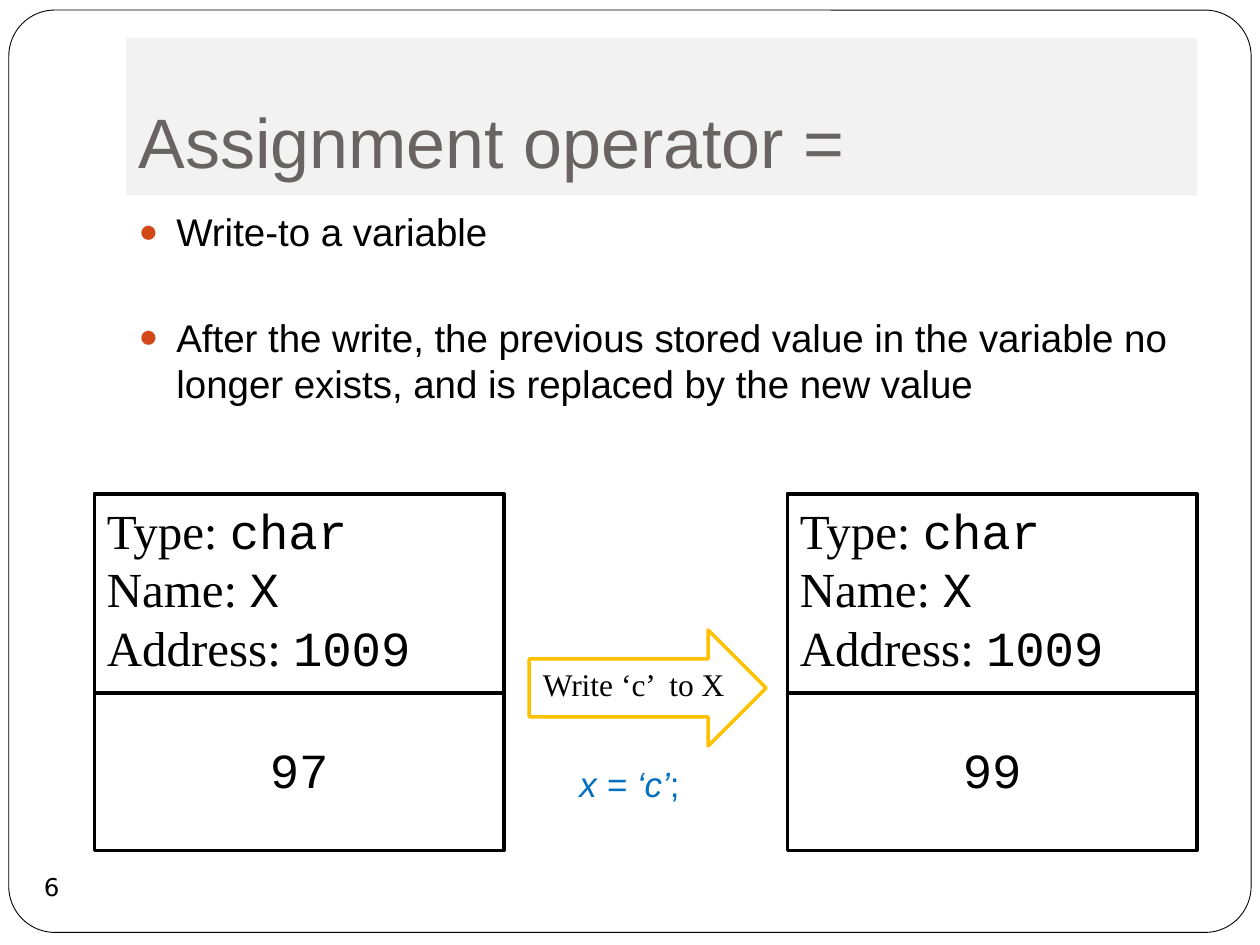
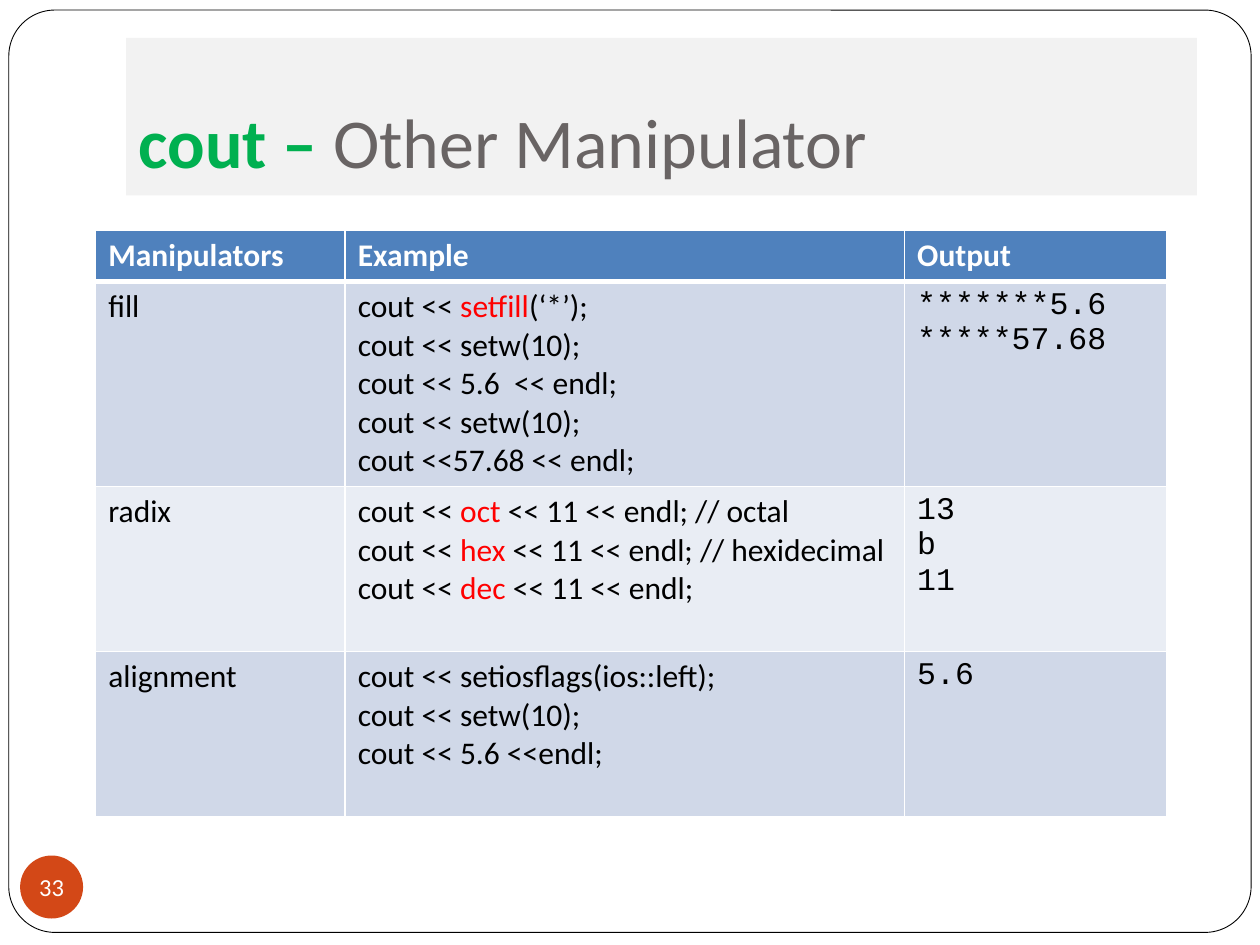
"""Build two C++ lecture slides: the assignment operator and cout manipulators."""
import dataclasses
import typing

import lxml.etree
import pptx
import pptx.dml.color
import pptx.enum.shapes
import pptx.enum.text
import pptx.oxml.ns
import pptx.util

Inches = pptx.util.Inches
Pt = pptx.util.Pt
Shapes = pptx.enum.shapes.MSO_SHAPE
Align = pptx.enum.text.PP_ALIGN
Anchor = pptx.enum.text.MSO_ANCHOR

BLACK, WHITE, GRAY, BAND = "000000", "FFFFFF", "696464", "F2F2F2"
ORANGE, GREEN, BLUE, RED, GOLD = "D34817", "00B050", "0070C0", "FF0000", "FFC000"
HEADER_FILL, ROW_FILLS = "4F81BD", ("D0D8E8", "E9EDF4")
SANS, BODY, MONO, SERIF = "Arial", "Calibri", "Courier New", "Times New Roman"


@dataclasses.dataclass(frozen=True)
class Run:
    text: str
    font: str = BODY
    size: float = 18
    color: str = BLACK
    bold: bool = False
    italic: bool = False


@dataclasses.dataclass(frozen=True)
class Box:
    left: float
    top: float
    width: float
    height: float

    def lengths(self) -> dict[str, int]:
        return {name: Inches(value) for name, value in dataclasses.asdict(self).items()}


@dataclasses.dataclass(frozen=True)
class Variable:
    left: float
    value: str


Line = tuple[Run, ...]

TITLE_BOX = Box(1, 0.3, 8.5, 1.25)
BODY_BOX = Box(1, 1.6, 8.5, 4.75)
BADGE_BOX = Box(0.16, 6.79, 0.5, 0.5)
VARIABLE_TOP, VARIABLE_WIDTH, VARIABLE_HEIGHT, LABEL_HEIGHT = 3.92, 3.25, 2.83, 1.58
VARIABLES = (Variable(0.75, "97"), Variable(6.25, "99"))
LABELS = (("Type: ", "char"), ("Name: ", "X"), ("Address: ", "1009"))
BULLETS = (
    ("Write-to a variable", 5.8),
    ("After the write, the previous stored value in the variable no longer exists, "
     "and is replaced by the new value", 34),
)
COLUMN_WIDTHS = (1.98, 4.44, 2.08)
ROW_HEIGHTS = (0.4, 1.6, 1.31, 1.31)


def set_values(target: typing.Any, values: dict[str, typing.Any]) -> None:
    for name, value in values.items():
        setattr(target, name, value)


def rgb(color: str) -> pptx.dml.color.RGBColor:
    return pptx.dml.color.RGBColor.from_string(color)


def paint(fill: typing.Any, color: str) -> None:
    if color:
        fill.solid()
        fill.fore_color.rgb = rgb(color)
    else:
        fill.background()


def write_lines(frame: typing.Any, lines: typing.Sequence[Line],
                alignment: typing.Any = Align.LEFT) -> None:
    for index, line in enumerate(lines):
        paragraph = frame.add_paragraph() if index else frame.paragraphs[0]
        paragraph.alignment = alignment
        for item in line:
            run = paragraph.add_run()
            run.text = item.text
            set_values(run.font, {"name": item.font, "size": Pt(item.size),
                                  "bold": item.bold, "italic": item.italic})
            run.font.color.rgb = rgb(item.color)


def add_box(slide: typing.Any, kind: typing.Any, box: Box, fill: str = WHITE,
            line: str = "", weight: float = 2) -> typing.Any:
    shape = slide.shapes.add_shape(kind, **box.lengths())
    shape.shadow.inherit = False
    paint(shape.fill, fill)
    paint(shape.line.fill, line)
    if line:
        shape.line.width = Pt(weight)
    return shape


def add_text(slide: typing.Any, box: Box, line: Line, wrap: bool = True) -> None:
    frame = slide.shapes.add_textbox(**box.lengths()).text_frame
    frame.word_wrap = wrap
    write_lines(frame, [line])


def add_slide(presentation: typing.Any, layout: int, title: Line) -> typing.Any:
    slide = presentation.slides.add_slide(presentation.slide_layouts[layout])
    border = add_box(slide, Shapes.ROUNDED_RECTANGLE, Box(0.07, 0.08, 9.86, 7.32),
                     line=BLACK, weight=0.5)
    border.adjustments[0] = 0.05
    slide.shapes.element.insert(2, border.element)
    shape = slide.shapes.title
    set_values(shape, TITLE_BOX.lengths())
    paint(shape.fill, BAND)
    set_values(shape.text_frame, {
        "vertical_anchor": Anchor.BOTTOM, "word_wrap": True,
        "auto_size": pptx.enum.text.MSO_AUTO_SIZE.NONE,
        "margin_left": Inches(0.1), "margin_right": Inches(0.1),
        "margin_top": Inches(0.05), "margin_bottom": Inches(0.1)})
    write_lines(shape.text_frame, [title])
    return slide


def add_badge(slide: typing.Any, number: Run, fill: str = "") -> None:
    frame = add_box(slide, Shapes.OVAL, BADGE_BOX, fill).text_frame
    set_values(frame, {"vertical_anchor": Anchor.MIDDLE, "word_wrap": False,
                       "margin_left": 0, "margin_right": 0,
                       "margin_top": 0, "margin_bottom": 0})
    write_lines(frame, [(number,)], Align.CENTER)


def add_element(parent: typing.Any, tag: str, **attributes: str) -> typing.Any:
    return lxml.etree.SubElement(parent, pptx.oxml.ns.qn(tag), attributes)


def fill_bullets(shape: typing.Any) -> None:
    set_values(shape, BODY_BOX.lengths())
    frame = shape.text_frame
    frame.auto_size = pptx.enum.text.MSO_AUTO_SIZE.NONE
    write_lines(frame, [(Run(text, SANS, 22),) for text, _ in BULLETS])
    for paragraph, (_, space) in zip(frame.paragraphs, BULLETS):
        paragraph.space_before = Pt(space)
        properties = paragraph._p.get_or_add_pPr()
        properties.set("marL", str(Inches(0.3)))
        properties.set("indent", str(Inches(-0.3)))
        add_element(add_element(properties, "a:buClr"), "a:srgbClr", val=ORANGE)
        add_element(properties, "a:buSzPct", val="85000")
        add_element(properties, "a:buFont", typeface=SANS)
        add_element(properties, "a:buChar", char="●")


def add_variable(slide: typing.Any, variable: Variable) -> None:
    whole = add_box(slide, Shapes.RECTANGLE,
                    Box(variable.left, VARIABLE_TOP, VARIABLE_WIDTH, VARIABLE_HEIGHT),
                    line=BLACK)
    set_values(whole.text_frame, {"margin_top": Inches(LABEL_HEIGHT),
                                  "vertical_anchor": Anchor.MIDDLE})
    write_lines(whole.text_frame, [(Run(variable.value, MONO, 28),)], Align.CENTER)
    label = add_box(slide, Shapes.RECTANGLE,
                    Box(variable.left, VARIABLE_TOP, VARIABLE_WIDTH, LABEL_HEIGHT),
                    line=BLACK)
    label.text_frame.vertical_anchor = Anchor.TOP
    write_lines(label.text_frame,
                [(Run(name, SERIF, 28), Run(value, MONO, 28)) for name, value in LABELS])


def code(before: str, keyword: str = "", after: str = "") -> Line:
    parts = (Run(before), Run(keyword, color=RED), Run(after))
    return tuple(part for part in parts if part.text)


def output(*lines: str) -> list[Line]:
    return [(Run(line, MONO),) for line in lines]


def manipulator_rows() -> list[list[list[Line]]]:
    headings = ("Manipulators", "Example", "Output")
    return [
        [[(Run(heading, color=WHITE, bold=True),)] for heading in headings],
        [[code("fill")],
         [code("cout << ", "setfill", "(‘*’);"), code("cout << setw(10);"),
          code("cout << 5.6  << endl;"), code("cout << setw(10);"),
          code("cout <<57.68 << endl;")],
         output("*******5.6", "*****57.68")],
        [[code("radix")],
         [code("cout << ", "oct ", "<< 11 << endl; // octal"),
          code("cout << ", "hex", " << 11 << endl; // hexidecimal"),
          code("cout << ", "dec ", "<< 11 << endl;")],
         output("13", "b", "11")],
        [[code("alignment")],
         [code("cout << setiosflags(ios::left);"), code("cout << setw(10);"),
          code("cout << 5.6 <<endl;")],
         output("5.6")],
    ]


def draw_borders(cell: typing.Any, row: int) -> None:
    properties = cell._tc.get_or_add_tcPr()
    heavy_side = {0: "B", 1: "T"}.get(row)
    for side in "LRTB":
        weight = Pt(3 if side == heavy_side else 1)
        border = add_element(properties, f"a:ln{side}", w=str(weight))
        add_element(add_element(border, "a:solidFill"), "a:srgbClr", val=WHITE)


def add_manipulator_table(slide: typing.Any) -> None:
    rows = manipulator_rows()
    box = Box(0.76, 1.83, sum(COLUMN_WIDTHS), sum(ROW_HEIGHTS))
    table = slide.shapes.add_table(len(rows), len(COLUMN_WIDTHS), **box.lengths()).table
    for column, width in zip(table.columns, COLUMN_WIDTHS):
        column.width = Inches(width)
    for row_index, (row, height) in enumerate(zip(rows, ROW_HEIGHTS)):
        table.rows[row_index].height = Inches(height)
        for column_index, lines in enumerate(row):
            cell = table.cell(row_index, column_index)
            draw_borders(cell, row_index)
            paint(cell.fill, ROW_FILLS[(row_index - 1) % 2] if row_index else HEADER_FILL)
            write_lines(cell.text_frame, lines)


def build_assignment_slide(presentation: typing.Any) -> None:
    slide = add_slide(presentation, 1, (Run("Assignment operator =", SANS, 40, GRAY),))
    fill_bullets(slide.placeholders[1])
    add_badge(slide, Run("6", "DejaVu Sans", 14))
    add_text(slide, Box(4.5, 6, 1.17, 0.44),
             (Run("x = ‘c’", SANS, 20, BLUE, italic=True), Run(";", SANS, 20, BLUE)))
    for variable in VARIABLES:
        add_variable(slide, variable)
    add_box(slide, Shapes.RIGHT_ARROW, Box(4.2, 5, 1.88, 0.92), line=GOLD)
    add_text(slide, Box(4.21, 5.23, 1.69, 0.4), (Run("Write ‘c’  to X", SERIF),), wrap=False)


def build_manipulator_slide(presentation: typing.Any) -> None:
    slide = add_slide(presentation, 5, (Run("cout – ", BODY, 40, GREEN, bold=True),
                                        Run("Other Manipulator", BODY, 40, GRAY)))
    add_badge(slide, Run("33", BODY, 14, WHITE), ORANGE)
    add_manipulator_table(slide)


def main() -> None:
    presentation = pptx.Presentation()
    set_values(presentation, {"slide_width": Inches(10), "slide_height": Inches(7.5)})
    build_assignment_slide(presentation)
    build_manipulator_slide(presentation)
    presentation.save("out.pptx")


if __name__ == "__main__":
    main()
